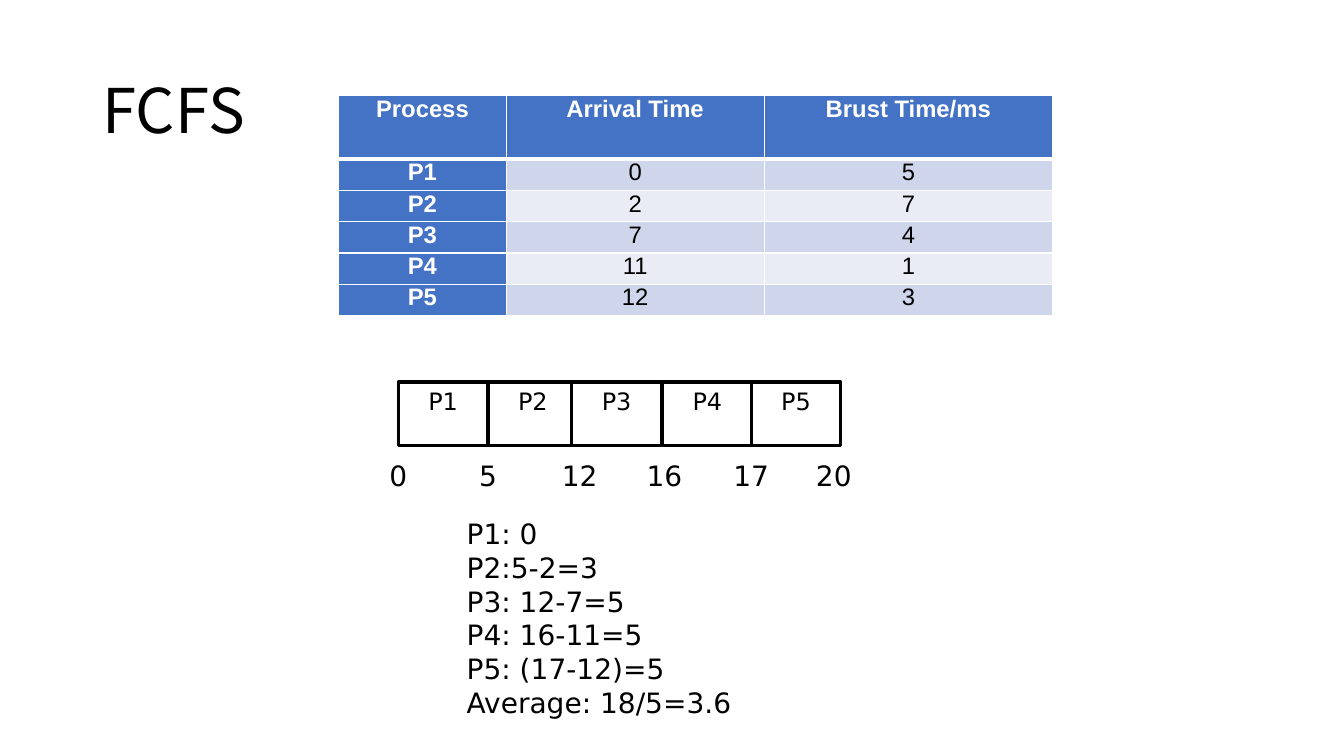
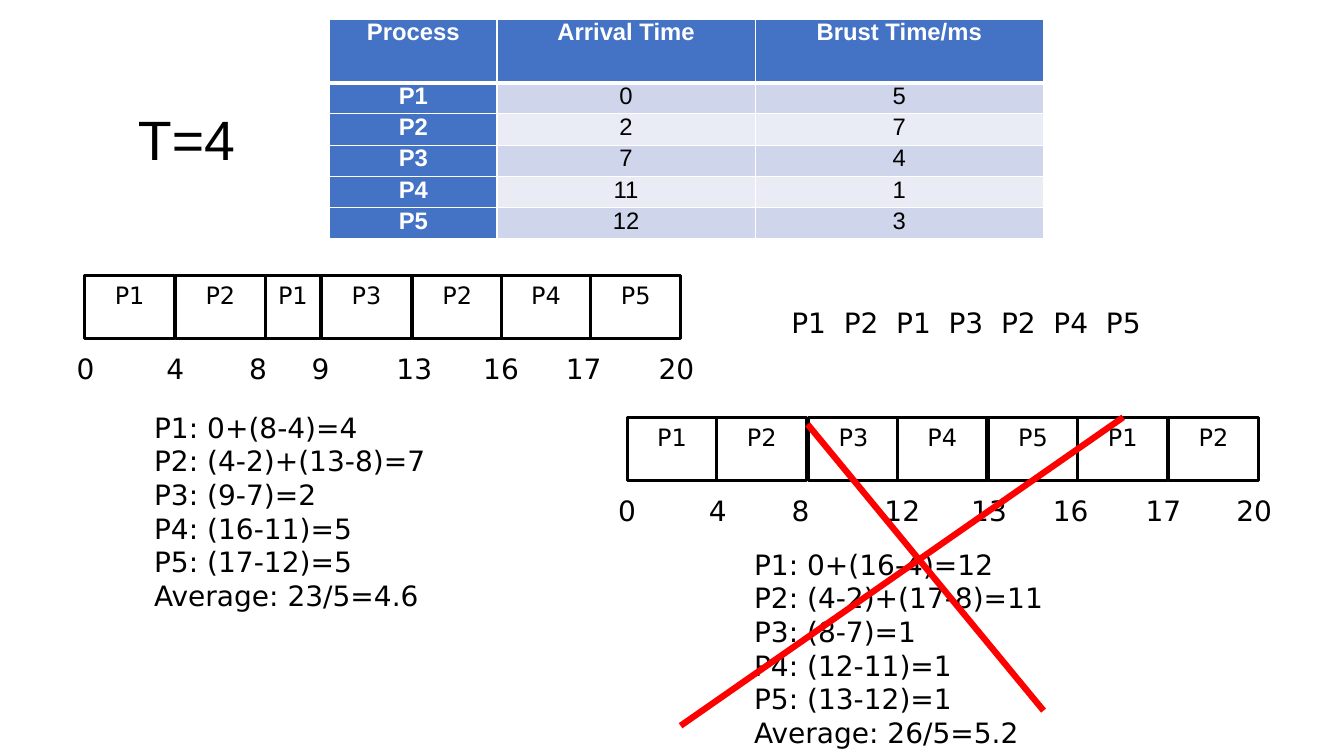
from dataclasses import dataclass

from lxml.etree import SubElement
from pptx import Presentation
from pptx.dml.color import RGBColor
from pptx.enum.shapes import MSO_CONNECTOR, MSO_SHAPE
from pptx.enum.text import MSO_ANCHOR, PP_ALIGN
from pptx.oxml.ns import qn
from pptx.util import Pt


@dataclass(frozen=True)
class Theme:
    ink: str = "000000"
    paper: str = "FFFFFF"
    accent: str = "4472C4"
    bands: tuple = ("CFD5EA", "E9EBF5")
    cross: str = "FF0000"
    body_font: str = "DejaVu Sans"
    table_font: str = "Arial"
    body_size: float = 20
    bar_size: float = 17.1
    table_size: float = 17
    bar_line: float = 2.25
    cross_line: float = 4.5


THEME = Theme()
PX = 9144  # 100 px to the inch
BAR_W, BAR_H = 89, 63
TICK_W, TICK_H, TICK_DROP = 70, 44, 71
LINE_H = 34
TAB_STEP = 52

PROCESSES = [
    ("Process", "Arrival Time", "Brust Time/ms"),
    ("P1", "0", "5"),
    ("P2", "2", "7"),
    ("P3", "7", "4"),
    ("P4", "11", "1"),
    ("P5", "12", "3"),
]


def px(*values):
    return [v * PX for v in values]


def rgb(color):
    return RGBColor.from_string(color)


def style(p, size, font=THEME.body_font, color=THEME.ink, bold=False, align=PP_ALIGN.LEFT):
    p.font.size = Pt(size)
    p.font.name = font
    p.font.bold = bold
    p.font.color.rgb = rgb(color)
    p.alignment = align


# Text
def add_text(slide, box, lines, size=THEME.body_size, **look):
    tf = slide.shapes.add_textbox(*px(*box)).text_frame
    tf.word_wrap = True
    tf.text = "\n".join(lines)
    for p in tf.paragraphs:
        style(p, size, **look)
    return tf


def add_title(slide, box, text, size, font):
    tf = add_text(slide, box, [text], size, font=font)
    tf.vertical_anchor = MSO_ANCHOR.MIDDLE
    tf.paragraphs[0].line_spacing = 0.9


def add_notes(slide, left, top, lines):
    add_text(slide, (left, top, 325, LINE_H * len(lines) + 10), lines)


def add_sequence(slide, left, top, names):
    tf = add_text(slide, (left, top, 381, TICK_H), ["\t".join(names)])
    tabs = SubElement(tf.paragraphs[0]._p.get_or_add_pPr(), qn("a:tabLst"))
    for i in range(1, len(names)):
        SubElement(tabs, qn("a:tab"), pos=str(i * TAB_STEP * PX), algn="l")


# Table
def add_borders(cell, **widths):
    tcPr = cell._tc.get_or_add_tcPr()
    for side in "LRTB":
        ln = SubElement(tcPr, qn(f"a:ln{side}"), w=str(Pt(widths.get(side, 1))))
        fill = SubElement(ln, qn("a:solidFill"))
        SubElement(fill, qn("a:srgbClr"), val=THEME.paper)


def add_process_table(slide, left, top):
    widths, heights = (166, 256, 286), [63] + [31] * 5
    table = slide.shapes.add_table(len(heights), len(widths),
                                   *px(left, top, sum(widths), sum(heights))).table
    for column, width in zip(table.columns, px(*widths)):
        column.width = width
    for row, height in zip(table.rows, px(*heights)):
        row.height = height
    for r, values in enumerate(PROCESSES):
        for c, value in enumerate(values):
            cell = table.cell(r, c)
            head = r == 0 or c == 0
            cell.margin_left, cell.margin_right, cell.margin_top, cell.margin_bottom = px(7, 7, 0, 0)
            add_borders(cell, B=3 if r == 0 else 1, T=3 if r == 1 else 1)
            cell.fill.solid()
            cell.fill.fore_color.rgb = rgb(THEME.accent if head else THEME.bands[(r - 1) % 2])
            cell.text = value
            style(cell.text_frame.paragraphs[0], THEME.table_size, THEME.table_font,
                  THEME.paper if head else THEME.ink, head, PP_ALIGN.CENTER)


# Gantt chart: bars as (name, left[, width]), ticks as (time, centre)
def add_bar(slide, top, name, left, width=BAR_W):
    sp = slide.shapes.add_shape(MSO_SHAPE.RECTANGLE, *px(left, top, width, BAR_H))
    sp.shadow.inherit = False
    sp.fill.solid()
    sp.fill.fore_color.rgb = rgb(THEME.paper)
    sp.line.color.rgb = rgb(THEME.ink)
    sp.line.width = Pt(THEME.bar_line)
    tf = sp.text_frame
    tf.vertical_anchor = MSO_ANCHOR.TOP
    tf.text = name
    style(tf.paragraphs[0], THEME.bar_size, align=PP_ALIGN.CENTER)


def add_gantt(slide, top, bars, ticks):
    for bar in bars:
        add_bar(slide, top, *bar)
    for time, centre in ticks:
        add_text(slide, (centre - TICK_W // 2, top + TICK_DROP, TICK_W, TICK_H),
                 [str(time)], align=PP_ALIGN.CENTER)


# Strike-out strokes
def add_stroke(slide, *ends):
    line = slide.shapes.add_connector(MSO_CONNECTOR.STRAIGHT, *px(*ends))
    line.line.color.rgb = rgb(THEME.cross)
    line.line.width = Pt(THEME.cross_line)
    SubElement(line._element.spPr, qn("a:effectLst"))


def build_fcfs(slide):
    add_title(slide, (92, 40, 1150, 145), "FCFS", 44, "Noto Sans CJK SC")
    add_process_table(slide, 336, 95)
    add_gantt(slide, 379,
              [("P1", 395), ("P2", 484), ("P3", 567), ("P4", 657), ("P5", 745)],
              [(0, 395), (5, 484), (12, 575), (16, 659), (17, 745), (20, 827)])
    add_notes(slide, 453, 508, ["P1: 0", "P2:5-2=3", "P3: 12-7=5", "P4: 16-11=5",
                                "P5: (17-12)=5", "Average: 18/5=3.6"])


def build_round_robin(slide):
    add_title(slide, (127, 110, 192, 63), "T=4", 39.6, "Arial")
    add_process_table(slide, 327, 19)

    # Accepted schedule
    add_gantt(slide, 273,
              [("P1", 84), ("P2", 174), ("P1", 263, 55), ("P3", 319),
               ("P2", 409), ("P4", 497), ("P5", 586)],
              [(0, 85), (4, 174), (8, 256), (9, 318), (13, 411),
               (16, 497), (17, 579), (20, 671)])
    add_notes(slide, 143, 402, ["P1: 0+(8-4)=4", "P2: (4-2)+(13-8)=7", "P3: (9-7)=2",
                                "P4: (16-11)=5", "P5: (17-12)=5", "Average: 23/5=4.6"])

    # Rejected schedule
    add_gantt(slide, 414,
              [("P1", 622), ("P2", 711), ("P3", 802), ("P4", 890),
               ("P5", 980), ("P1", 1069), ("P2", 1159)],
              [(0, 622), (4, 712), (8, 794), (12, 895), (13, 981),
               (16, 1062), (17, 1154), (20, 1244)])
    add_notes(slide, 738, 538, ["P1: 0+(16-4)=12", "P2: (4-2)+(17-8)=11", "P3: (8-7)=1",
                                "P4: (12-11)=1", "P5: (13-12)=1", "Average: 26/5=5.2"])
    add_sequence(slide, 775, 298, ["P1", "P2", "P1", "P3", "P2", "P4", "P5"])
    add_stroke(slide, 1114, 414, 675, 720)
    add_stroke(slide, 801, 421, 1035, 705)


def main():
    prs = Presentation()
    prs.slide_width, prs.slide_height = px(1333, 750)
    for build in (build_fcfs, build_round_robin):
        build(prs.slides.add_slide(prs.slide_layouts[6]))
    prs.save("out.pptx")


if __name__ == "__main__":
    main()
